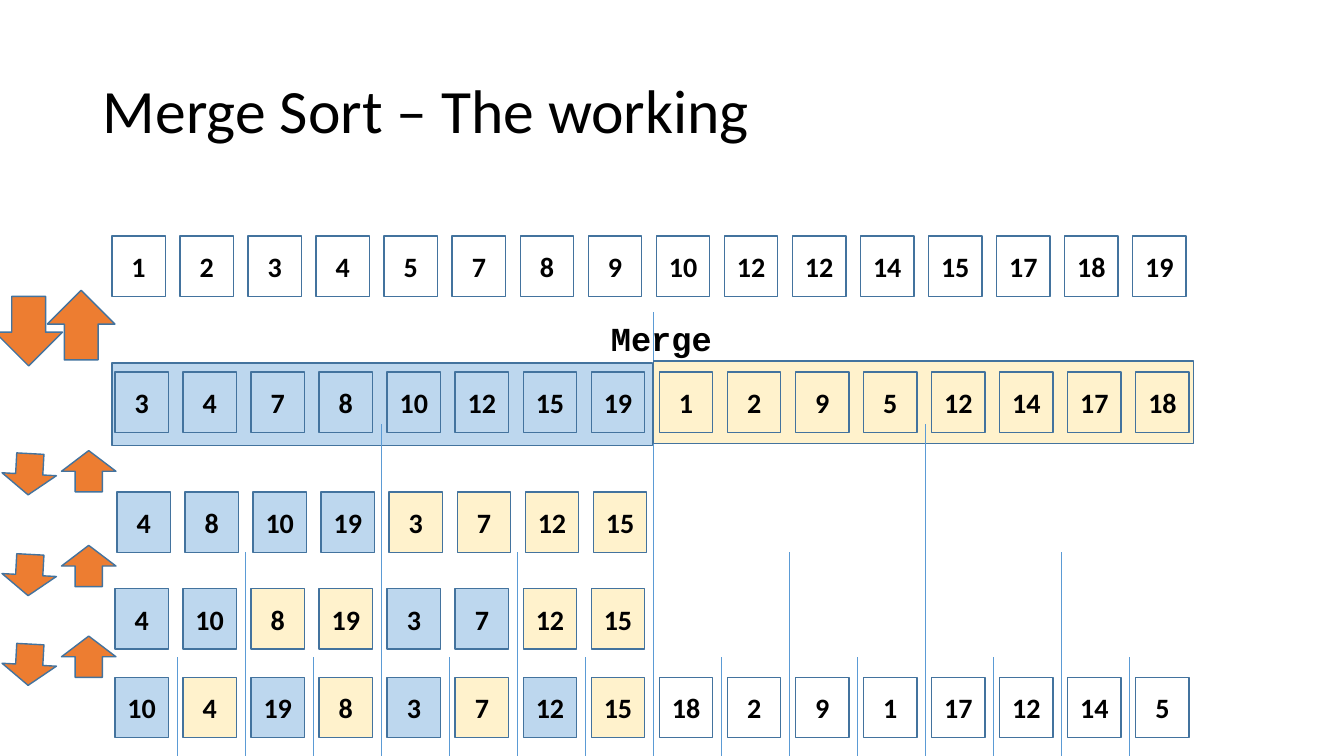
from typing import NamedTuple, Optional

from lxml.etree import SubElement
from pptx import Presentation
from pptx.dml.color import RGBColor
from pptx.enum.shapes import MSO_CONNECTOR, MSO_SHAPE
from pptx.enum.text import MSO_ANCHOR, MSO_AUTO_SIZE, PP_ALIGN
from pptx.oxml.ns import qn
from pptx.shapes.autoshape import Shape
from pptx.shapes.shapetree import GroupShapes
from pptx.slide import Slide
from pptx.text.text import TextFrame
from pptx.util import Inches, Pt

BLACK = RGBColor(0, 0, 0)
BLUE = RGBColor(0xBD, 0xD7, 0xEE)
CREAM = RGBColor(0xFF, 0xF2, 0xCC)
ORANGE = RGBColor(0xED, 0x7D, 0x31)
EDGE = RGBColor(0x43, 0x73, 0x9E)
SPLIT = RGBColor(0x5B, 0x9B, 0xD5)

PITCH = 0.675
CELL = (0.53, 0.6)
BOTTOM = 7.5


class Row(NamedTuple):
    """A row of numbers; fills alternate every `run` cells up to `tinted`."""

    left: float
    top: float
    values: list[int]
    run: int = 1
    tinted: int = 0


class Box(NamedTuple):
    """The place of a shape in inches and its turn in degrees."""

    left: float
    top: float
    width: float
    height: float
    turn: float = 0


SORTED = Row(1.11, 2.34, [1, 2, 3, 4, 5, 7, 8, 9, 10, 12, 12, 14, 15, 17, 18, 19])
HALVES = Row(1.14, 3.69, [3, 4, 7, 8, 10, 12, 15, 19, 1, 2, 9, 5, 12, 14, 17, 18])
FOURS = Row(1.16, 4.88, [4, 8, 10, 19, 3, 7, 12, 15], 4, 8)
PAIRS = Row(1.14, 5.84, [4, 10, 8, 19, 3, 7, 12, 15], 2, 8)
SINGLES = Row(1.14, 6.72, [10, 4, 19, 8, 3, 7, 12, 15, 18, 2, 9, 1, 17, 12, 14, 5], 1, 8)

UPS = [Box(0.47, 2.88, 0.67, 0.69, 180)] + [
    Box(0.61, top, 0.54, 0.41, 180) for top in (6.31, 5.41, 4.47)
]
DOWNS = [Box(-0.05, 2.94, 0.67, 0.69)] + [
    Box(0.02, top, 0.54, 0.41, 3.1) for top in (4.5, 5.5, 6.39)
]
TOPS = {1: 6.52, 2: 5.48, 4: 4.21, 8: 3.1}


def add_text(frame: TextFrame, text: str, size: int, font: str, bold: bool = True) -> None:
    """Put one run of black text in the first paragraph."""
    run = frame.paragraphs[0].add_run()
    run.text = text
    run.font.size = Pt(size)
    run.font.name = font
    run.font.bold = bold
    run.font.color.rgb = BLACK


def add_box(shapes: GroupShapes, kind: MSO_SHAPE, box: Box, fill: Optional[RGBColor]) -> Shape:
    """Draw an outlined preset shape, unfilled when no colour is given."""
    shape = shapes.add_shape(kind, *map(Inches, box[:4]))
    shape.rotation = box.turn
    shape.shadow.inherit = False
    if fill is None:
        shape.fill.background()
    else:
        shape.fill.solid()
        shape.fill.fore_color.rgb = fill
    shape.line.color.rgb = EDGE
    shape.line.width = Pt(1)
    return shape


def add_row(slide: Slide, row: Row) -> None:
    """Draw the cells of one row."""
    for i, value in enumerate(row.values):
        fill = (BLUE, CREAM)[i // row.run % 2] if i < row.tinted else None
        place = Box(row.left + i * PITCH, row.top, *CELL)
        cell = add_box(slide.shapes, MSO_SHAPE.RECTANGLE, place, fill)
        frame = cell.text_frame
        frame.vertical_anchor = MSO_ANCHOR.MIDDLE
        frame.paragraphs[0].alignment = PP_ALIGN.CENTER
        add_text(frame, str(value), 20, "Calibri")


def add_splits(slide: Slide, level: int) -> None:
    """Draw the split lines that stand at odd multiples of a level."""
    for step in range(level, 16, 2 * level):
        x = Inches(1.08 + step * PITCH)
        line = slide.shapes.add_connector(
            MSO_CONNECTOR.STRAIGHT, x, Inches(BOTTOM), x, Inches(TOPS[level])
        )
        line.line.color.rgb = SPLIT
        line.line.width = Pt(0.5)
        SubElement(line._element.spPr, qn("a:effectLst"))


def add_arrows(slide: Slide, boxes: list[Box]) -> None:
    """Draw a group of block arrows."""
    group = slide.shapes.add_group_shape()
    for box in boxes:
        add_box(group.shapes, MSO_SHAPE.DOWN_ARROW, box, ORANGE)


def add_title(slide: Slide) -> None:
    """Move and format the title."""
    title = slide.shapes.title
    title.left, title.top = Inches(0.92), Inches(0.4)
    title.width, title.height = Inches(11.5), Inches(1.45)
    frame = title.text_frame
    frame.auto_size = MSO_AUTO_SIZE.NONE
    frame.vertical_anchor = MSO_ANCHOR.MIDDLE
    frame.paragraphs[0].alignment = PP_ALIGN.LEFT
    frame.paragraphs[0].line_spacing = 0.9
    add_text(frame, "Merge Sort – The working", 44, "Calibri", False)


def add_label(slide: Slide) -> None:
    """Write the name of the step."""
    label = slide.shapes.add_textbox(Inches(5.96), Inches(3.1), Inches(1.21), Inches(0.5))
    label.text_frame.word_wrap = False
    label.text_frame.auto_size = MSO_AUTO_SIZE.SHAPE_TO_FIT_TEXT
    add_text(label.text_frame, "Merge", 24, "Courier New")


def main() -> None:
    """Build and save the slide."""
    deck = Presentation()
    deck.slide_width, deck.slide_height = Inches(13.33), Inches(7.5)
    slide = deck.slides.add_slide(deck.slide_layouts.get_by_name("Title Only"))
    add_title(slide)
    add_row(slide, SINGLES)
    add_splits(slide, 8)
    add_box(slide.shapes, MSO_SHAPE.RECTANGLE, Box(6.48, 3.58, 5.36, 0.82), CREAM)
    add_box(slide.shapes, MSO_SHAPE.RECTANGLE, Box(1.11, 3.6, 5.36, 0.82), BLUE)
    add_row(slide, HALVES)
    add_label(slide)
    add_row(slide, SORTED)
    add_splits(slide, 4)
    add_row(slide, PAIRS)
    add_row(slide, FOURS)
    add_splits(slide, 2)
    add_arrows(slide, UPS)
    add_arrows(slide, DOWNS)
    add_splits(slide, 1)
    deck.save("out.pptx")


main()
